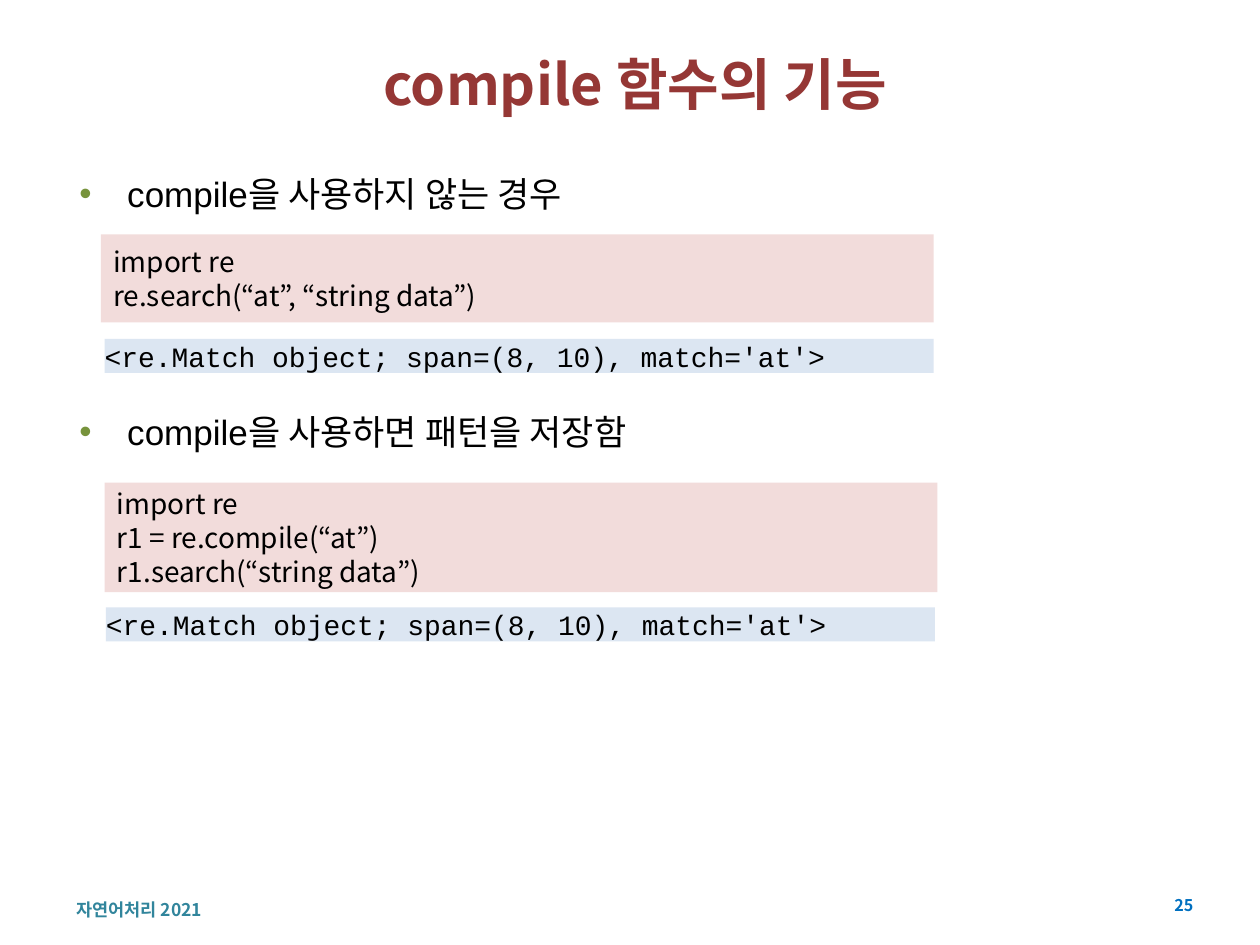
import dataclasses

import lxml.etree
import pptx
import pptx.dml.color
import pptx.enum.shapes
import pptx.enum.text
import pptx.oxml.ns
import pptx.util

Inches = pptx.util.Inches
Align = pptx.enum.text.PP_ALIGN
Anchor = pptx.enum.text.MSO_ANCHOR


@dataclasses.dataclass(frozen=True)
class Theme:
    sans: str = "Noto Sans CJK KR"
    body: str = "Arial"
    mono: str = "Courier New"
    black: str = "000000"
    title: str = "953735"
    bullet: str = "77933C"
    code_fill: str = "F2DCDB"
    result_fill: str = "DCE6F2"
    footer: str = "31859C"
    number: str = "0070C0"
    title_size: float = 32
    body_size: float = 20
    code_size: float = 16
    footer_size: float = 10
    number_size: float = 9.2


THEME = Theme()


def color(value):
    return pptx.dml.color.RGBColor.from_string(value)


def add_element(parent, tag, **attributes):
    return lxml.etree.SubElement(parent, pptx.oxml.ns.qn(tag), **attributes)


def place(shape, box):
    shape.left, shape.top, shape.width, shape.height = map(Inches, box)


def write(shape, lines, size, font, fill, bold=False, align=Align.LEFT, anchor=Anchor.MIDDLE):
    frame = shape.text_frame
    frame.text = "\n".join(lines)
    frame.word_wrap = True
    frame.auto_size = pptx.enum.text.MSO_AUTO_SIZE.NONE
    frame.vertical_anchor = anchor
    for paragraph in frame.paragraphs:
        paragraph.alignment = align
        paragraph.font.size = pptx.util.Pt(size)
        paragraph.font.bold = bold
        paragraph.font.name = font
        paragraph.font.color.rgb = color(fill)
        defaults = paragraph._p.pPr.find(pptx.oxml.ns.qn("a:defRPr"))
        add_element(defaults, "a:ea", typeface=THEME.sans)
    return frame


def add_title(slide, box, text):
    title = slide.shapes.title
    place(title, box)
    write(title, [text], THEME.title_size, THEME.sans, THEME.title, bold=True, align=Align.CENTER)


def add_bullets(slide, box, lines, gap):
    body = slide.placeholders[1]
    place(body, box)
    frame = write(body, lines, THEME.body_size, THEME.body, THEME.black, anchor=Anchor.TOP)
    for index, paragraph in enumerate(frame.paragraphs):
        paragraph.line_spacing = 1.5
        paragraph.space_before = pptx.util.Pt(gap if index else 0)
        properties = paragraph._p.pPr
        properties.set("marL", str(Inches(0.38)))
        properties.set("indent", str(Inches(-0.38)))
        bullet_color = lxml.etree.Element(pptx.oxml.ns.qn("a:buClr"))
        add_element(bullet_color, "a:srgbClr", val=THEME.bullet)
        bullet = lxml.etree.Element(pptx.oxml.ns.qn("a:buChar"), char="•")
        defaults = properties.find(pptx.oxml.ns.qn("a:defRPr"))
        defaults.addprevious(bullet_color)
        defaults.addprevious(bullet)


def add_panel(slide, box, lines, font, fill):
    panel = slide.shapes.add_shape(pptx.enum.shapes.MSO_SHAPE.RECTANGLE, *map(Inches, box))
    panel.shadow.inherit = False
    panel.fill.solid()
    panel.fill.fore_color.rgb = color(fill)
    panel.line.fill.background()
    return write(panel, lines, THEME.code_size, font, THEME.black)


def add_example(slide, code_box, result_box, code, result):
    add_panel(slide, code_box, code, THEME.sans, THEME.code_fill)
    frame = add_panel(slide, result_box, [result], THEME.mono, THEME.result_fill)
    frame.margin_left = frame.margin_right = frame.margin_top = frame.margin_bottom = 0


def add_footer(slide, box, text, size, fill, align):
    footer = slide.shapes.add_textbox(*map(Inches, box))
    write(footer, [text], size, THEME.sans, fill, bold=True, align=align)


def build_slide(presentation):
    slide = presentation.slides.add_slide(presentation.slide_layouts[1])
    add_title(slide, (0.51, 0.36, 9.06, 0.6), "compile 함수의 기능")
    add_bullets(
        slide,
        (0.53, 1.15, 9.04, 4.88),
        ["compile을 사용하지 않는 경우", "compile을 사용하면 패턴을 저장함"],
        gap=100,
    )
    result = "<re.Match object; span=(8, 10), match='at'>"
    add_example(
        slide,
        (0.8, 1.86, 6.61, 0.7),
        (0.83, 2.69, 6.58, 0.27),
        ["import re", "re.search(“at”, “string data”)"],
        result,
    )
    add_example(
        slide,
        (0.83, 3.83, 6.61, 0.87),
        (0.84, 4.82, 6.58, 0.27),
        ["import re", "r1 = re.compile(“at”)", "r1.search(“string data”)"],
        result,
    )
    add_footer(slide, (0.51, 7.14, 2.6, 0.16), "자연어처리 2021", THEME.footer_size, THEME.footer, Align.LEFT)
    add_footer(slide, (9.02, 7.06, 0.55, 0.24), "25", THEME.number_size, THEME.number, Align.RIGHT)


presentation = pptx.Presentation()
presentation.slide_width = Inches(10)
presentation.slide_height = Inches(7.5)
build_slide(presentation)
presentation.save("out.pptx")
